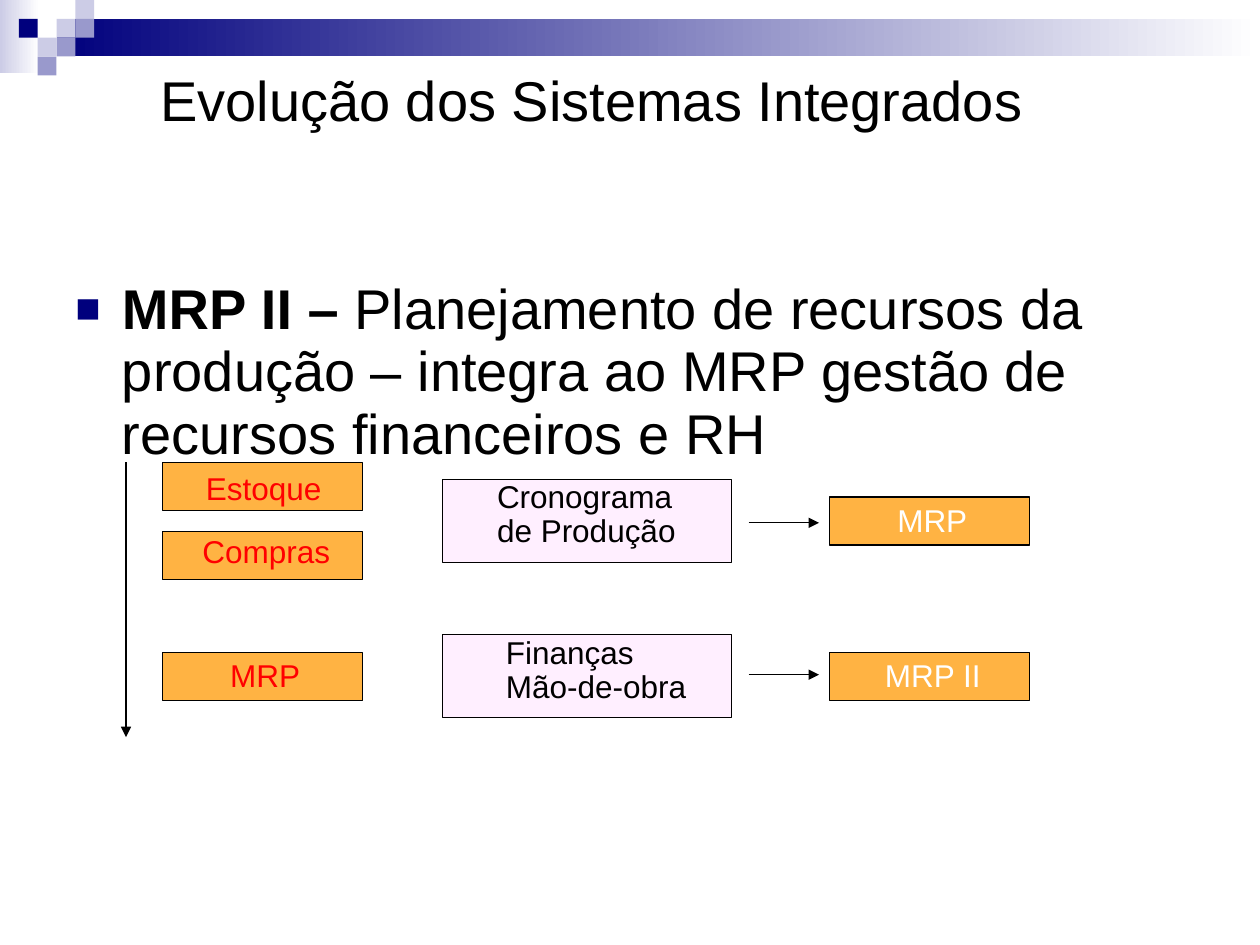
from lxml.etree import SubElement
from pptx import Presentation
from pptx.dml.color import RGBColor
from pptx.enum.shapes import MSO_CONNECTOR as Connector, MSO_SHAPE as Shape
from pptx.enum.text import MSO_ANCHOR as Anchor
from pptx.oxml.ns import qn
from pptx.util import Cm, Pt

BLACK = RGBColor(0x00, 0x00, 0x00)
WHITE = RGBColor(0xFF, 0xFF, 0xFF)
RED = RGBColor(0xFF, 0x00, 0x00)
NAVY = RGBColor(0x00, 0x00, 0x7D)
LILAC = RGBColor(0x99, 0x99, 0xCC)
PALE = RGBColor(0xCC, 0xCC, 0xE6)
ORANGE = RGBColor(0xFF, 0xB3, 0x43)
PINK = RGBColor(0xFF, 0xEF, 0xFF)

TILE = 0.38
TILES = [(3, 1, PALE), (4, 0, PALE), (4, 1, LILAC), (2, 2, PALE),
         (1, 1, NAVY), (3, 2, LILAC), (2, 3, LILAC)]
PINK_TOPS = [9.66, 12.79]
ORANGE_SPOTS = [(3.28, 9.32), (3.28, 10.71), (3.28, 13.16),
                (16.72, 10.02), (16.72, 13.16)]
LABELS = [
    (["Cronograma de Produção"], 9.77, 9.58, 4.6, 1.63, BLACK, True),
    (["Estoque"], 3.9, 9.42, 2.87, 0.94, RED, False),
    (["Compras"], 3.83, 10.69, 3.12, 0.94, RED, False),
    (["MRP"], 17.84, 10.06, 1.93, 0.94, WHITE, False),
    (["Finanças", "Mão-de-obra"], 9.95, 12.73, 4.6, 1.63, BLACK, True),
    (["MRP"], 4.39, 13.18, 1.93, 0.94, RED, False),
    (["MRP II"], 17.59, 13.18, 2.46, 0.94, WHITE, False),
]
ARROWS = [(2.54, 9.32, 2.54, 14.86), (15.09, 10.54, 16.51, 10.54),
          (15.09, 13.6, 16.51, 13.6)]


def set_attrs(obj, values):
    """Set each named attribute of an object."""
    for name, value in values.items():
        setattr(obj, name, value)


def add_run(p, text, size, color, bold=False):
    """Append a formatted run to a paragraph."""
    r = p.add_run()
    r.text = text
    set_attrs(r.font, {"name": "Arial", "size": Pt(size), "bold": bold})
    r.font.color.rgb = color


def add_rect(s, x, y, w, h, fill=None, outlined=False):
    """Add a plain rectangle."""
    sp = s.shapes.add_shape(Shape.RECTANGLE, Cm(x), Cm(y), Cm(w), Cm(h))
    sp.shadow.inherit = False
    if fill is not None:
        sp.fill.solid()
        sp.fill.fore_color.rgb = fill
    if outlined:
        sp.line.color.rgb = BLACK
        sp.line.width = Pt(0.75)
    else:
        sp.line.fill.background()
    return sp


def add_fade(s, x, y, w, h, color):
    """Add a rectangle that fades to white on the right."""
    fill = add_rect(s, x, y, w, h).fill
    fill.gradient()
    fill.gradient_angle = 0
    for stop, rgb in zip(fill.gradient_stops, (color, WHITE)):
        stop.color.rgb = rgb


def add_text(s, x, y, w, h, wrap=True, anchor=Anchor.TOP):
    """Add an empty text box and return its text frame."""
    tf = s.shapes.add_textbox(Cm(x), Cm(y), Cm(w), Cm(h)).text_frame
    set_attrs(tf, {"word_wrap": wrap, "vertical_anchor": anchor})
    return tf


def add_label(s, lines, x, y, w, h, color, wrap):
    """Add a diagram label with one paragraph per line."""
    tf = add_text(s, x, y, w, h, wrap)
    for i, line in enumerate(lines):
        p = tf.paragraphs[0] if i == 0 else tf.add_paragraph()
        p.line_spacing = 0.9
        add_run(p, line, 18, color)


def add_arrow(s, x1, y1, x2, y2):
    """Add a thin black arrow."""
    line = s.shapes.add_connector(Connector.STRAIGHT, Cm(x1), Cm(y1), Cm(x2), Cm(y2))
    line.line.color.rgb = BLACK
    line.line.width = Pt(0.75)
    props = line._element.spPr
    SubElement(props.find(qn("a:ln")), qn("a:tailEnd"), type="triangle")
    SubElement(props, qn("a:effectLst"))


def add_banner(s):
    """Add the fading bars and the tiles at the top."""
    add_fade(s, 0, 0, 0.79, 1.47, PALE)
    add_fade(s, 1.14, 0.38, 24.26, 0.76, NAVY)
    for col, row, color in TILES:
        add_rect(s, col * TILE, row * TILE, TILE, TILE, color)


def add_title(s):
    """Add the slide title."""
    p = add_text(s, 2.98, 1.21, 19.84, 1.73, anchor=Anchor.MIDDLE).paragraphs[0]
    p.line_spacing = 0.93
    add_run(p, "Evolução dos Sistemas Integrados", 32, BLACK)


def add_body(s):
    """Add the bulleted definition."""
    p = add_text(s, 1.27, 5.51, 22.83, 11.76).paragraphs[0]
    p.line_spacing = 0.93
    props = p._p.get_or_add_pPr()
    props.set("marL", str(Cm(0.94)))
    props.set("indent", str(-Cm(0.94)))
    SubElement(SubElement(props, qn("a:buClr")), qn("a:srgbClr"), val=str(NAVY))
    SubElement(props, qn("a:buSzPct"), val="75000")
    SubElement(props, qn("a:buFont"), typeface="Arial")
    SubElement(props, qn("a:buChar"), char="■")
    add_run(p, "MRP II –", 32, BLACK, True)
    add_run(p, " Planejamento de recursos da produção – integra ao MRP "
               "gestão de recursos financeiros e RH", 32, BLACK)


def add_diagram(s):
    """Add the boxes, labels and arrows of the evolution diagram."""
    for y in PINK_TOPS:
        add_rect(s, 8.92, y, 5.83, 1.68, PINK, True)
    for x, y in ORANGE_SPOTS:
        add_rect(s, x, y, 4.03, 0.97, ORANGE, True)
    for label in LABELS:
        add_label(s, *label)
    for arrow in ARROWS:
        add_arrow(s, *arrow)


def main():
    """Build and save the slide."""
    prs = Presentation()
    set_attrs(prs, {"slide_width": Cm(25.4), "slide_height": Cm(19.05)})
    s = prs.slides.add_slide(prs.slide_layouts[6])
    add_banner(s)
    add_title(s)
    add_body(s)
    add_diagram(s)
    prs.save("out.pptx")


if __name__ == "__main__":
    main()
